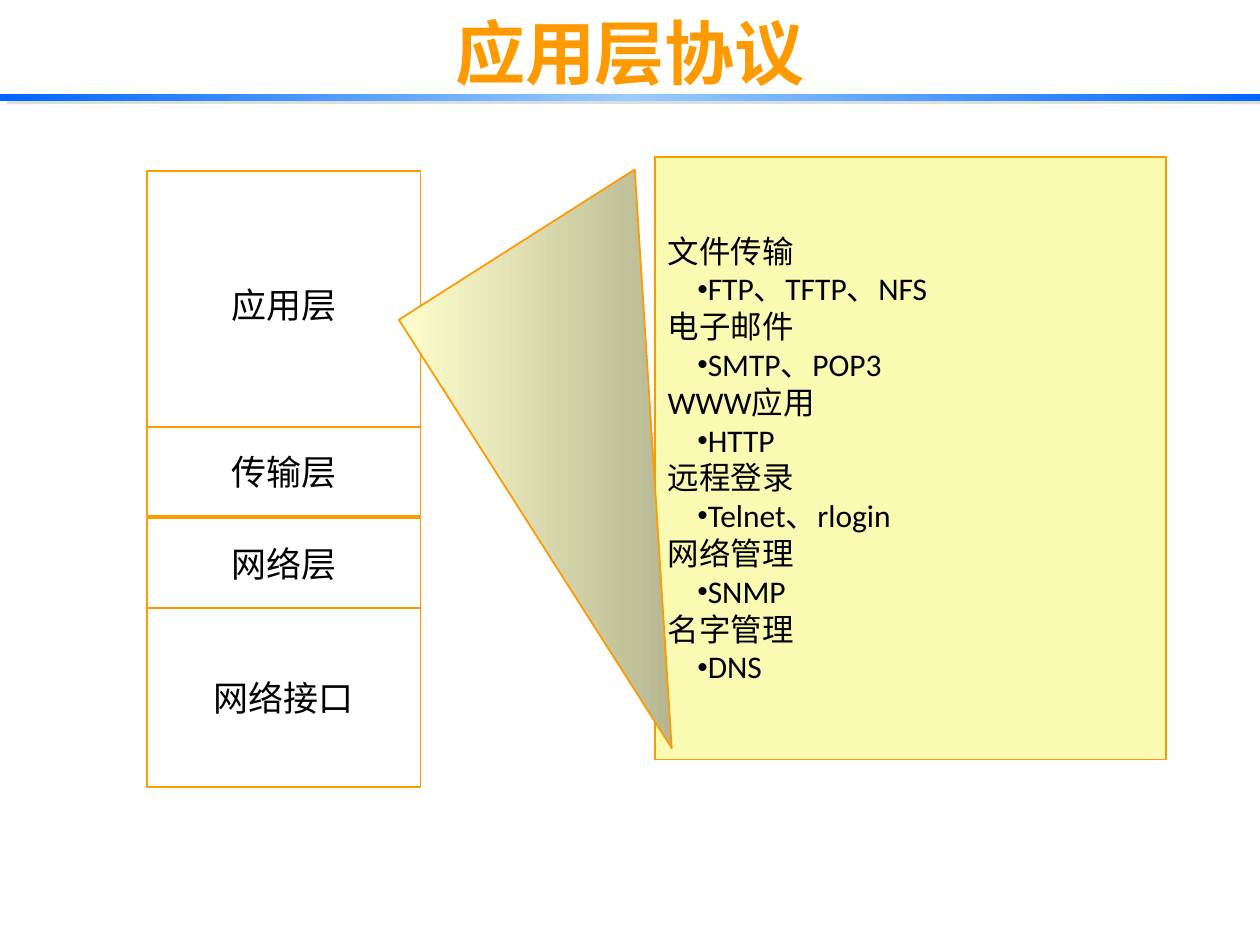
from lxml import etree
from pptx import Presentation
from pptx.dml.color import RGBColor
from pptx.enum.shapes import MSO_SHAPE
from pptx.enum.text import MSO_ANCHOR, PP_ALIGN
from pptx.oxml.ns import qn
from pptx.util import Cm, Pt

RECT = MSO_SHAPE.RECTANGLE
TRIANGLE = MSO_SHAPE.RIGHT_TRIANGLE
MIDDLE = MSO_ANCHOR.MIDDLE
LEFT, CENTER = PP_ALIGN.LEFT, PP_ALIGN.CENTER

COLORS = {
    "orange": "FF9900",
    "white": "FFFFFF",
    "black": "000000",
    "panel": "FAFAB2",
    "blue": "0066FF",
    "sky": "99CCFF",
    "cream": "FFFFCC",
    "olive": "76765E",
    "bar_shadow": "DDDDDD",
}

# Name, top and height in cm
LAYERS = [
    ("应用层", 3.45, 5.36),
    ("传输层", 8.61, 1.8),
    ("网络接口", 12.24, 3.63),
    ("网络层", 10.44, 1.82),
]

PROTOCOLS = [
    ("文件传输", "FTP、TFTP、NFS"),
    ("电子邮件", "SMTP、POP3"),
    ("WWW应用", "HTTP"),
    ("远程登录", "Telnet、rlogin"),
    ("网络管理", "SNMP"),
    ("名字管理", "DNS"),
]


def rgb(name):
    return RGBColor.from_string(COLORS[name])


def add_color(parent, name):
    etree.SubElement(parent, qn("a:srgbClr"), val=COLORS[name])


def outer_shadow(color, distance, angle):
    """Return an effect list with one sharp outer shadow."""
    effects = etree.Element(qn("a:effectLst"))
    shadow = etree.SubElement(effects, qn("a:outerShdw"), dist=str(Pt(distance)),
                              dir=str(angle * 60000), algn="ctr", rotWithShape="0")
    add_color(shadow, color)
    return effects


def fill_gradient(sp, names):
    """Fill from left to right with evenly spaced colours, whatever the rotation."""
    sp.fill.gradient()
    sp.fill.gradient_angle = 0
    gradient = sp._element.spPr.find(qn("a:gradFill"))
    gradient.set("rotWithShape", "0")
    stops = gradient.find(qn("a:gsLst"))
    for stop in list(stops):
        stops.remove(stop)
    for i, name in enumerate(names):
        pos = str(i * 100000 // (len(names) - 1))
        add_color(etree.SubElement(stops, qn("a:gs"), pos=pos), name)


def add_shape(slide, kind, left, top, width, height, fill=None, line=None):
    sp = slide.shapes.add_shape(kind, Cm(left), Cm(top), Cm(width), Cm(height))
    sp.shadow.inherit = False
    if fill:
        sp.fill.solid()
        sp.fill.fore_color.rgb = rgb(fill)
    if line:
        sp.line.color.rgb = rgb(line)
        sp.line.width = Pt(1)
    else:
        sp.line.fill.background()
    return sp


def format_paragraph(p, size, align, color="black", font="Calibri", bold=False):
    p.alignment = align
    for r in p.runs:
        r.font.size = Pt(size)
        r.font.name = font
        r.font.bold = bold
        r.font.color.rgb = rgb(color)


def add_bullet(p):
    p_pr = p._p.get_or_add_pPr()
    p_pr.set("marL", str(Cm(0.8)))
    p_pr.set("indent", str(-Cm(0.2)))
    etree.SubElement(p_pr, qn("a:buSzPct"), val="55000")
    etree.SubElement(p_pr, qn("a:buFont"), typeface="Calibri")
    etree.SubElement(p_pr, qn("a:buChar"), char="●")


def add_title(slide, text):
    box = slide.shapes.add_textbox(Cm(2), Cm(0.03), Cm(21.4), Cm(2))
    tf = box.text_frame
    tf.word_wrap = True
    tf.vertical_anchor = MIDDLE
    tf.text = text
    p = tf.paragraphs[0]
    format_paragraph(p, 40, CENTER, "orange", "Arial", True)
    fill = p.runs[0].font._element.find(qn("a:solidFill"))
    fill.addnext(outer_shadow("black", 2, 45))


def add_title_bar(slide):
    bar = add_shape(slide, RECT, 0, 1.9, 25.4, 0.13)
    fill_gradient(bar, ["blue", "sky", "blue"])
    effects = bar._element.spPr.find(qn("a:effectLst"))
    effects.getparent().replace(effects, outer_shadow("bar_shadow", 4.5, 27))


def add_layer(slide, name, top, height):
    sp = add_shape(slide, RECT, 2.97, top, 5.51, height, "white", "orange")
    tf = sp.text_frame
    tf.word_wrap = False
    tf.vertical_anchor = MIDDLE
    tf.text = name
    format_paragraph(tf.paragraphs[0], 20, CENTER)


def add_protocol_panel(slide):
    sp = add_shape(slide, RECT, 13.21, 3.17, 10.29, 12.14, "panel", "orange")
    tf = sp.text_frame
    tf.word_wrap = False
    tf.vertical_anchor = MIDDLE
    tf.text = "\n".join(line for pair in PROTOCOLS for line in pair)
    for i, p in enumerate(tf.paragraphs):
        format_paragraph(p, 18, LEFT)
        if i % 2:
            add_bullet(p)


def add_callout_wedge(slide):
    wedge = add_shape(slide, TRIANGLE, 8.05, 6.43, 10.24, 5.64, line="orange")
    wedge.rotation = 57.5
    fill_gradient(wedge, ["cream", "olive"])


def main():
    prs = Presentation()
    prs.slide_width, prs.slide_height = Cm(25.4), Cm(19.05)
    slide = prs.slides.add_slide(prs.slide_layouts[6])
    add_title_bar(slide)
    for layer in LAYERS:
        add_layer(slide, *layer)
    add_protocol_panel(slide)
    add_callout_wedge(slide)
    add_title(slide, "应用层协议")
    prs.save("out.pptx")


if __name__ == "__main__":
    main()
